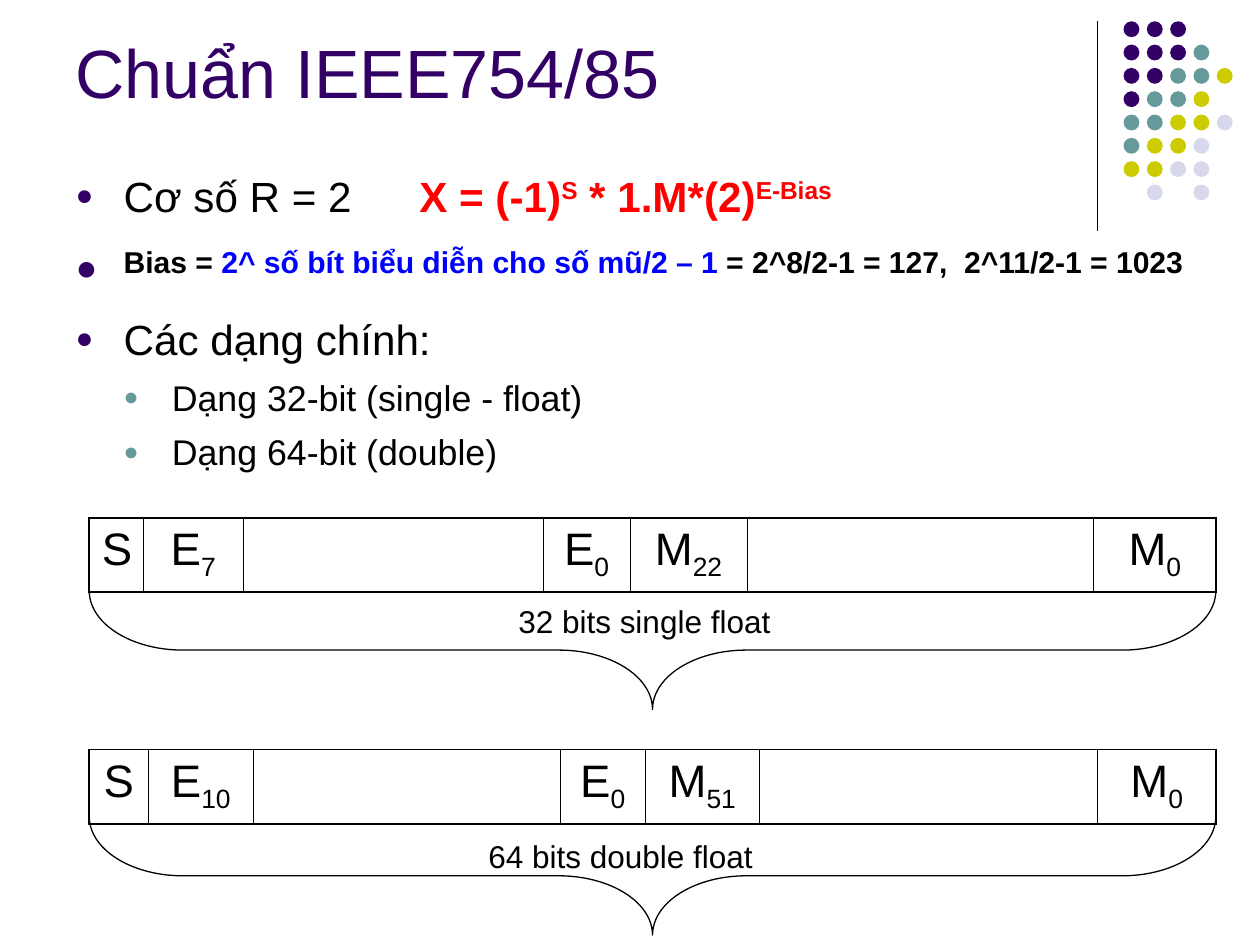
"""Builds the slide on the IEEE 754/85 floating point formats."""
from lxml import etree
from pptx import Presentation
from pptx.dml.color import RGBColor
from pptx.enum.shapes import MSO_CONNECTOR, MSO_SHAPE
from pptx.enum.text import MSO_ANCHOR, MSO_AUTO_SIZE, PP_ALIGN
from pptx.oxml.ns import qn
from pptx.util import Cm, Pt

LINE, OVAL, BRACE = MSO_CONNECTOR.STRAIGHT, MSO_SHAPE.OVAL, MSO_SHAPE.LEFT_BRACE
TOP, BOTTOM, NO_FIT = MSO_ANCHOR.TOP, MSO_ANCHOR.BOTTOM, MSO_AUTO_SIZE.NONE
LEFT, CENTER = PP_ALIGN.LEFT, PP_ALIGN.CENTER

FONT = "Arial"
COLORS = {"black": "000000", "red": "FF0000", "blue": "0000FF", "purple": "330066",
          "teal": "669999", "olive": "CCCC00", "lilac": "D8D8EC"}

TITLE = "Chuẩn IEEE754/85"
# level, size, space before, runs of (text, colour, bold, baseline)
BULLETS = [
    (0, 24.1, 0, [("Cơ số R = 2\t", "black", False, 0), ("X = (-1)", "red", True, 0),
                  ("S", "red", True, 30), (" * 1.M*(2)", "red", True, 0),
                  ("E-Bias", "red", True, 30)]),
    (0, 29.6, 9.5, [("Bias = ", "black", True, 30),
                    ("2^ số bít biểu diễn cho số mũ/2 – 1 ", "blue", True, 30),
                    ("= 2^8/2-1 = 127,  2^11/2-1 = 1023", "black", True, 30)]),
    (0, 24.1, 8, [("Các dạng chính:", "black", False, 0)]),
    (1, 20.4, 6.7, [("Dạng 32-bit (single - float)", "black", False, 0)]),
    (1, 20.4, 6.7, [("Dạng 64-bit (double)", "black", False, 0)]),
]
BULLET_COLORS = ["purple", "teal"]
INDENT, FORMULA_TAB = 0.97, 6.93

DOTS = ["ppp", "pppt", "pptto", "ptto", "ttool", "tool", "ooll", " l l"]
DOT_COLORS = {"p": "purple", "t": "teal", "o": "olive", "l": "lilac"}
DOT_LEFT, DOT_TOP, DOT_PITCH, DOT_SIZE = 22.65, 0.43, 0.47, 0.32

FORMATS = [
    {"top": 10.44, "cols": [1.09, 2.01, 6.05, 1.75, 2.36, 6.99, 2.46],
     "bits": ["S", "E7", "", "E0", "M22", "", "M0"], "brace": 11.91,
     "caption": "32 bits single float", "at": (7.59, 12.01)},
    {"top": 15.11, "cols": [1.19, 2.11, 6.2, 1.7, 2.31, 6.81, 2.39],
     "bits": ["S", "E10", "", "E0", "M51", "", "M0"], "brace": 16.46,
     "caption": "64 bits double float", "at": (7.11, 16.74)},
]
TABLE_LEFT, TABLE_WIDTH, ROW_HEIGHT, BRACE_DEPTH = 1.8, 22.71, 1.5, 2.39


def rgb(name):
    return RGBColor.from_string(COLORS[name])


def add_run(p, text, size, color="black", bold=False, baseline=0):
    r = p.add_run()
    r.text = text
    r.font.name, r.font.size, r.font.bold = FONT, Pt(size), bold
    r.font.color.rgb = rgb(color)
    if baseline:
        r.font._element.set("baseline", str(baseline * 1000))


def place(sp, left, top, width, height):
    sp.left, sp.top, sp.width, sp.height = Cm(left), Cm(top), Cm(width), Cm(height)


def add_bullet(p, level):
    pPr = p._p.get_or_add_pPr()
    pPr.set("marL", str(Cm(INDENT * (level + 1))))
    pPr.set("indent", str(-Cm(INDENT)))
    clr = etree.SubElement(pPr, qn("a:buClr"))
    etree.SubElement(clr, qn("a:srgbClr"), val=COLORS[BULLET_COLORS[level]])
    etree.SubElement(pPr, qn("a:buSzPct"), val="70000")
    etree.SubElement(pPr, qn("a:buFont"), typeface=FONT)
    etree.SubElement(pPr, qn("a:buChar"), char="●")
    if level == 0:
        tabs = etree.SubElement(pPr, qn("a:tabLst"))
        etree.SubElement(tabs, qn("a:tab"), pos=str(Cm(FORMULA_TAB)), algn="l")


def add_borders(cell, widths):
    tcPr = cell._tc.get_or_add_tcPr()
    for i, (side, width) in enumerate(widths.items()):
        ln = etree.Element(qn("a:ln" + side), w=str(Pt(width)))
        fill = etree.SubElement(ln, qn("a:solidFill"))
        etree.SubElement(fill, qn("a:srgbClr"), val=COLORS["black"])
        tcPr.insert(i, ln)


def add_text(s):
    title, body = s.placeholders
    place(title, 1.27, 0.33, 20.96, 2.06)
    title.text_frame.vertical_anchor = BOTTOM
    title.text_frame.auto_size = NO_FIT
    p = title.text_frame.paragraphs[0]
    p.alignment = LEFT
    add_run(p, TITLE, 39, "purple")

    place(body, 1.27, 3.3, 23.44, 5.72)
    tf = body.text_frame
    tf.auto_size, tf.vertical_anchor = NO_FIT, TOP
    for i, (level, size, before, runs) in enumerate(BULLETS):
        p = tf.add_paragraph() if i else tf.paragraphs[0]
        p.level = level
        add_bullet(p, level)
        p.space_before = Pt(before)
        for run in runs:
            add_run(p, run[0], size, *run[1:])


def add_decoration(s):
    ln = s.shapes.add_connector(LINE, Cm(22.12), Cm(0.43), Cm(22.12), Cm(4.65))
    ln.line.color.rgb, ln.line.width = rgb("black"), Pt(0.75)
    etree.SubElement(ln._element.spPr, qn("a:effectLst"))
    for row, marks in enumerate(DOTS):
        for col, mark in enumerate(marks):
            if mark in DOT_COLORS:
                sp = s.shapes.add_shape(OVAL, Cm(DOT_LEFT + col * DOT_PITCH),
                                        Cm(DOT_TOP + row * DOT_PITCH),
                                        Cm(DOT_SIZE), Cm(DOT_SIZE))
                sp.shadow.inherit = False
                sp.fill.solid()
                sp.fill.fore_color.rgb = rgb(DOT_COLORS[mark])
                sp.line.fill.background()


def add_format(s, fmt):
    table = s.shapes.add_table(1, len(fmt["cols"]), Cm(TABLE_LEFT), Cm(fmt["top"]),
                               Cm(TABLE_WIDTH), Cm(ROW_HEIGHT)).table
    table.first_row = table.horz_banding = False
    last = len(fmt["cols"]) - 1
    for i, (width, bit) in enumerate(zip(fmt["cols"], fmt["bits"])):
        table.columns[i].width = Cm(width)
        cell = table.cell(0, i)
        cell.fill.background()
        add_borders(cell, {"L": 0.45 if i else 1.08, "R": 0.45 if i < last else 1.08,
                           "T": 1.08, "B": 1.08})
        p = cell.text_frame.paragraphs[0]
        p.alignment = CENTER
        if bit:
            add_run(p, bit[0], 26)
        if bit[1:]:
            add_run(p, bit[1:], 26, baseline=-25)

    shift = (TABLE_WIDTH - BRACE_DEPTH) / 2
    sp = s.shapes.add_shape(BRACE, Cm(TABLE_LEFT + shift), Cm(fmt["brace"] - shift),
                            Cm(BRACE_DEPTH), Cm(TABLE_WIDTH))
    sp.rotation = 270
    sp.adjustments[0] = 0.79
    sp.shadow.inherit = False
    sp.fill.background()
    sp.line.color.rgb, sp.line.width = rgb("black"), Pt(0.75)

    tf = s.shapes.add_textbox(*map(Cm, fmt["at"]), Cm(10.8), Cm(1.02)).text_frame
    tf.word_wrap = True
    tf.paragraphs[0].alignment = CENTER
    add_run(tf.paragraphs[0], fmt["caption"], 18)


def main():
    prs = Presentation()
    prs.slide_width, prs.slide_height = Cm(25.4), Cm(19.05)
    s = prs.slides.add_slide(prs.slide_layouts[1])
    add_decoration(s)
    add_text(s)
    for fmt in FORMATS:
        add_format(s, fmt)
    prs.save("out.pptx")


if __name__ == "__main__":
    main()
